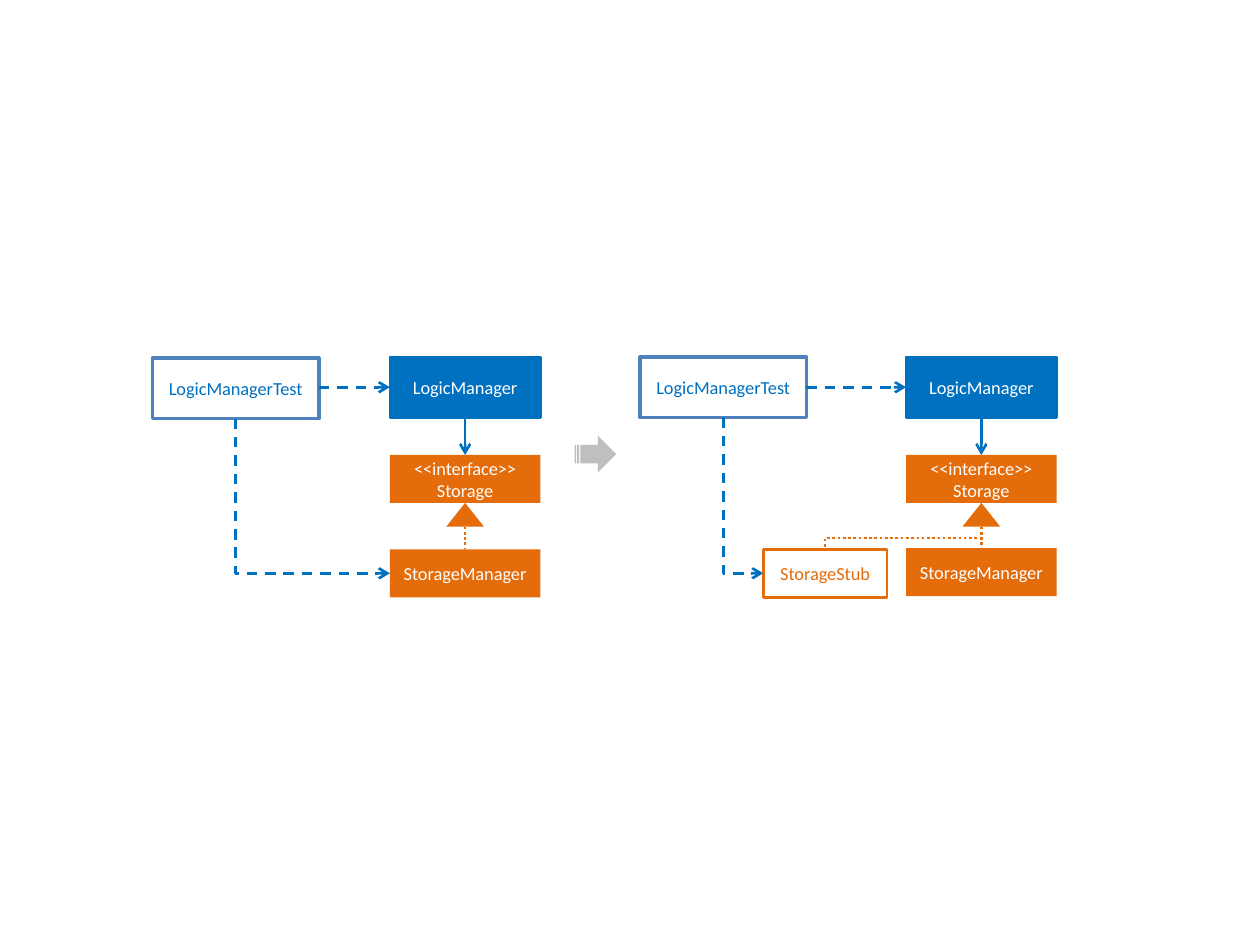
from lxml import etree
from pptx import Presentation
from pptx.dml.color import RGBColor
from pptx.enum.dml import MSO_LINE
from pptx.enum.shapes import MSO_CONNECTOR, MSO_SHAPE
from pptx.enum.text import MSO_ANCHOR, PP_ALIGN
from pptx.oxml.ns import qn
from pptx.util import Pt

BLUE = RGBColor(0x00, 0x70, 0xC0)
TEST_BORDER = RGBColor(0x4F, 0x81, 0xBD)
ORANGE = RGBColor(0xE4, 0x6C, 0x0A)
GREY = RGBColor(0xBF, 0xBF, 0xBF)
WHITE = RGBColor(0xFF, 0xFF, 0xFF)

RECTANGLE = MSO_SHAPE.RECTANGLE
TRIANGLE = MSO_SHAPE.ISOSCELES_TRIANGLE
STRIPED_ARROW = MSO_SHAPE.STRIPED_RIGHT_ARROW
STRAIGHT, ELBOW = MSO_CONNECTOR.STRAIGHT, MSO_CONNECTOR.ELBOW
DASH, DOTS = MSO_LINE.DASH, MSO_LINE.ROUND_DOT
MIDDLE, CENTER = MSO_ANCHOR.MIDDLE, PP_ALIGN.CENTER

LOGIC_TOP, LOGIC_HEIGHT = 204, 34.6
STORAGE_TOP, STORAGE_HEIGHT = 260, 27.4
MANAGER_WIDTH, TEST_WIDTH, STUB_WIDTH = 86, 95, 70.6
TRIANGLE_WIDTH, TRIANGLE_HEIGHT = 21.6, 13.6
TRIANGLE_TOP = STORAGE_TOP + STORAGE_HEIGHT
TRIANGLE_BASE = TRIANGLE_TOP + TRIANGLE_HEIGHT


def write_text(frame, text, font="Calibri", size=10.5, color=WHITE):
    frame.word_wrap = True
    frame.vertical_anchor = MIDDLE
    frame.margin_left = frame.margin_right = 0
    frame.margin_top = frame.margin_bottom = 0
    frame.text = text
    for paragraph in frame.paragraphs:
        paragraph.alignment = CENTER
        paragraph.font.name = font
        paragraph.font.size = Pt(size)
        paragraph.font.color.rgb = color


class Diagram:
    line_width = 1.5

    def __init__(self, slide):
        self.shapes = slide.shapes

    def shape(self, kind, left, top, width, height, fill, border=None, border_width=line_width):
        shape = self.shapes.add_shape(kind, Pt(left), Pt(top), Pt(width), Pt(height))
        shape.shadow.inherit = False
        shape.fill.solid()
        shape.fill.fore_color.rgb = fill
        if border is None:
            shape.line.fill.background()
        else:
            shape.line.color.rgb = border
            shape.line.width = Pt(border_width)
        return shape

    def box(self, text, left, top, width, height, fill, color=WHITE, **border):
        box = self.shape(RECTANGLE, left, top, width, height, fill, **border)
        write_text(box.text_frame, text, color=color)

    def line(self, start, end, color, dash=None, arrow=False, kind=STRAIGHT):
        line = self.shapes.add_connector(kind, *map(Pt, (*start, *end)))
        line.line.color.rgb = color
        line.line.width = Pt(self.line_width)
        if dash is not None:
            line.line.dash_style = dash
        if arrow:
            outline = line.line._get_or_add_ln()
            etree.SubElement(outline, qn("a:tailEnd"), type="arrow")
        etree.SubElement(line._element.spPr, qn("a:effectLst"))
        return line

    def elbow(self, start, end, color, preset, **style):
        (x1, y1), (x2, y2) = start, end
        center_x, center_y = (x1 + x2) / 2, (y1 + y2) / 2
        turn = 1 if x2 > x1 else -1
        half_width, half_height = turn * (y2 - y1) / 2, abs(x2 - x1) / 2
        elbow = self.line(
            (center_x + half_width, center_y - half_height),
            (center_x - half_width, center_y + half_height),
            color, kind=ELBOW, **style)
        properties = elbow._element.spPr
        properties.find(qn("a:xfrm")).set("rot", str(-turn * 90 * 60000))
        properties.find(qn("a:prstGeom")).set("prst", preset)

    def design(self, center, test_left, test_top, manager_top, target_left):
        left = center - MANAGER_WIDTH / 2
        test_center = test_left + TEST_WIDTH / 2
        logic_bottom = LOGIC_TOP + LOGIC_HEIGHT
        arrow_y = LOGIC_TOP + LOGIC_HEIGHT / 2
        self.line((center, logic_bottom), (center, STORAGE_TOP), BLUE, arrow=True)
        self.box("LogicManager", left, LOGIC_TOP, MANAGER_WIDTH, LOGIC_HEIGHT,
                 BLUE, border=BLUE)
        self.box("LogicManagerTest", test_left, test_top, TEST_WIDTH, LOGIC_HEIGHT,
                 WHITE, BLUE, border=TEST_BORDER, border_width=2)
        self.line((test_left + TEST_WIDTH, arrow_y), (left, arrow_y), BLUE, DASH, True)
        self.elbow((test_center, test_top + LOGIC_HEIGHT), (target_left, 327.6), BLUE,
                   "bentConnector2", dash=DASH, arrow=True)
        self.box("<<interface>>\nStorage", left, STORAGE_TOP, MANAGER_WIDTH,
                 STORAGE_HEIGHT, ORANGE)
        self.box("StorageManager", left, manager_top, MANAGER_WIDTH, STORAGE_HEIGHT, ORANGE)
        self.line((center, TRIANGLE_BASE), (center, manager_top), ORANGE, DOTS)
        self.shape(TRIANGLE, center - TRIANGLE_WIDTH / 2, TRIANGLE_TOP,
                   TRIANGLE_WIDTH, TRIANGLE_HEIGHT, ORANGE)


def main():
    deck = Presentation()
    deck.slide_width, deck.slide_height = Pt(720), Pt(540)
    diagram = Diagram(deck.slides.add_slide(deck.slide_layouts[6]))

    before_center, after_center = 265.8, 560.8
    stub_left, stub_top = 436.2, 314
    diagram.design(before_center, 87.2, 204.6, stub_top, before_center - MANAGER_WIDTH / 2)
    diagram.shape(STRIPED_ARROW, 328.4, 249, 23.8, 21, GREY)
    diagram.design(after_center, 365.8, LOGIC_TOP, 313.2, stub_left)
    diagram.box("StorageStub", stub_left, stub_top, STUB_WIDTH, STORAGE_HEIGHT,
                WHITE, ORANGE, border=ORANGE)
    diagram.elbow((after_center, TRIANGLE_BASE), (stub_left + STUB_WIDTH / 2, stub_top),
                  ORANGE, "bentConnector3", dash=DOTS)
    deck.save("out.pptx")


if __name__ == "__main__":
    main()
